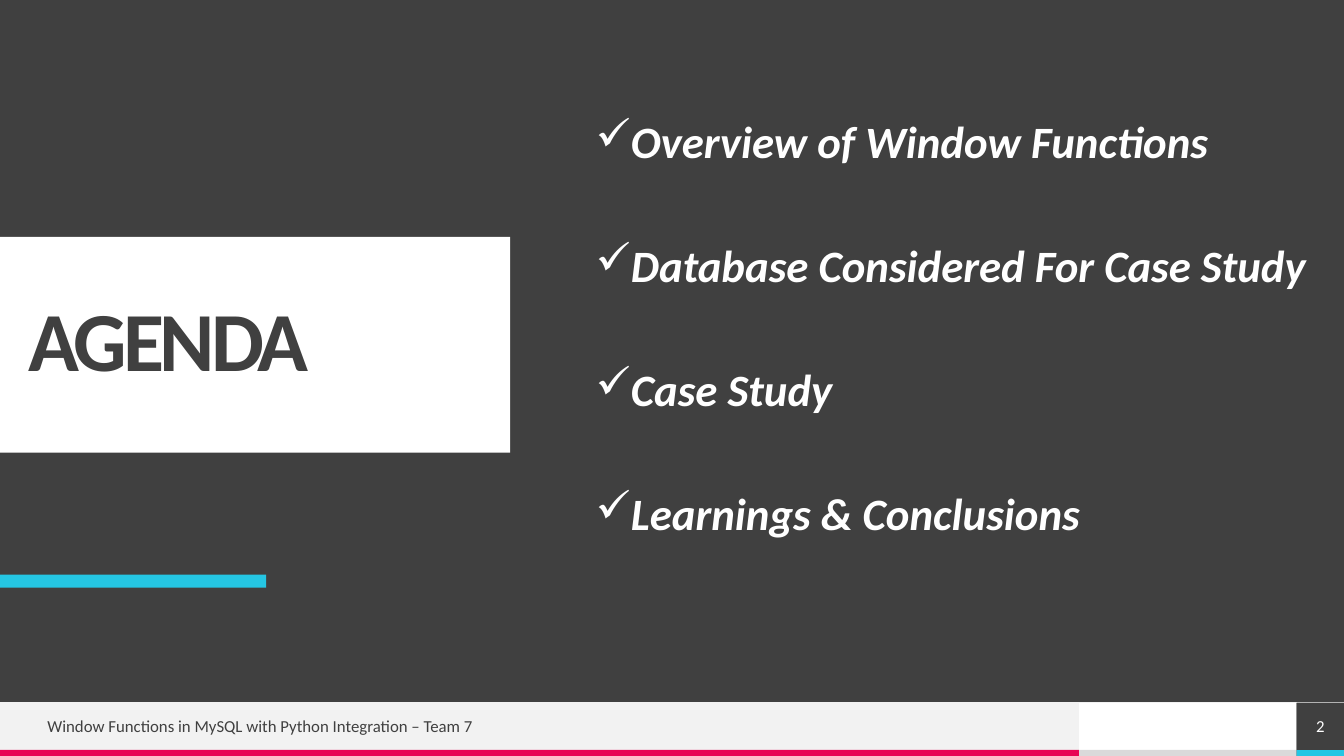
"""Build the agenda slide with its title block, checklist and footer."""
from dataclasses import dataclass
from typing import Any

from lxml import etree
from pptx import Presentation
from pptx import util as u
from pptx.dml import color
from pptx.enum import shapes, text
from pptx.oxml import ns


@dataclass(frozen=True)
class Theme:
    """Colours, font and type sizes."""
    dark: str = "404040"
    white: str = "FFFFFF"
    pale: str = "F2F2F2"
    grey: str = "DADADA"
    cyan: str = "25C6E3"
    pink: str = "E80554"
    font: str = "Calibri"
    title: int = 60
    item: int = 32
    foot: int = 12


@dataclass(frozen=True)
class Box:
    """A place on the slide in inches."""
    left: float
    top: float
    width: float
    height: float

    def args(self) -> list[u.Inches]:
        """Return the four lengths."""
        return [u.Inches(n) for n in (self.left, self.top, self.width, self.height)]


@dataclass(frozen=True)
class Bar:
    """A plain filled block."""
    box: Box
    fill: str


THEME = Theme()
WIDTH, FOOT, BASE = 13.33, 6.97, 7.44
SPLIT, LAST = 10.7, 12.86
ROW, STRIP = BASE - FOOT, 0.06
BARS = [
    Bar(Box(SPLIT, FOOT, LAST - SPLIT, ROW), THEME.white),
    Bar(Box(0, FOOT, SPLIT, ROW), THEME.pale),
    Bar(Box(0, 5.7, 2.64, 0.13), THEME.cyan),
    Bar(Box(SPLIT, BASE, LAST - SPLIT, STRIP), THEME.grey),
    Bar(Box(0, BASE, SPLIT, STRIP), THEME.pink),
    Bar(Box(LAST, BASE, WIDTH - LAST, STRIP), THEME.cyan),
]
ITEMS = [
    "Overview of Window Functions",
    "Database Considered For Case Study",
    "Case Study",
    "Learnings & Conclusions",
]


def tint(code: str) -> color.RGBColor:
    """Turn a hex code into a colour."""
    return color.RGBColor.from_string(code)


def block(slide: Any, bar: Bar) -> Any:
    """Draw one filled rectangle."""
    shape = slide.shapes.add_shape(shapes.MSO_SHAPE.RECTANGLE, *bar.box.args())
    shape.shadow.inherit = False
    shape.fill.solid()
    shape.fill.fore_color.rgb = tint(bar.fill)
    shape.line.fill.background()
    return shape


def rule(slide: Any) -> None:
    """Draw the thin line above the footer."""
    line = slide.shapes.add_connector(
        shapes.MSO_CONNECTOR.STRAIGHT,
        u.Inches(WIDTH), u.Inches(FOOT), u.Inches(0), u.Inches(FOOT))
    line.line.color.rgb = tint(THEME.pale)
    line.line.width = u.Pt(0.5)
    etree.SubElement(line._element.spPr, ns.qn("a:effectLst"))


def tick(para: Any) -> None:
    """Give a paragraph a hanging check mark."""
    props = para._p.get_or_add_pPr()
    indent = u.Inches(0.29)
    props.set("marL", str(indent))
    props.set("indent", str(-indent))
    etree.SubElement(props, ns.qn("a:buChar"), char="✓")


def write(shape: Any, lines: list[str], *, size: int, ink: str,
          bold: bool = False, slant: bool = False, check: bool = False,
          align: text.PP_ALIGN = text.PP_ALIGN.LEFT,
          anchor: text.MSO_ANCHOR = text.MSO_ANCHOR.MIDDLE,
          inset: tuple[float, ...] = (0, 0, 0, 0),
          lead: float = 1.0, gap: float = 0, track: int = 0) -> None:
    """Fill a shape with formatted paragraphs."""
    frame = shape.text_frame
    frame.word_wrap = True
    frame.auto_size = text.MSO_AUTO_SIZE.NONE
    frame.vertical_anchor = anchor
    (frame.margin_left, frame.margin_top,
     frame.margin_right, frame.margin_bottom) = map(u.Inches, inset)
    for num, line in enumerate(lines):
        para = frame.add_paragraph() if num else frame.paragraphs[0]
        if check:
            tick(para)
        para.alignment = align
        para.line_spacing = lead
        para.space_before = u.Pt(gap if num else 0)
        run = para.add_run()
        run.text = line
        font = run.font
        font.name, font.size = THEME.font, u.Pt(size)
        font.bold, font.italic = bold, slant
        font.color.rgb = tint(ink)
        if track:
            run._r.get_or_add_rPr().set("spc", str(track))


def main() -> None:
    """Compose and save the slide."""
    deck = Presentation()
    deck.slide_width, deck.slide_height = u.Inches(WIDTH), u.Inches(7.5)
    slide = deck.slides.add_slide(deck.slide_layouts[5])
    slide.background.fill.solid()
    slide.background.fill.fore_color.rgb = tint(THEME.dark)
    for bar in BARS:
        block(slide, bar)
    rule(slide)

    title = slide.shapes.title
    title.left, title.top, title.width, title.height = Box(0, 2.35, 5.06, 2.14).args()
    title.fill.solid()
    title.fill.fore_color.rgb = tint(THEME.white)
    write(title, ["AGENDA"], size=THEME.title, ink=THEME.dark, bold=True,
          inset=(0.28, 0.2, 0.2, 0.2), lead=0.9, track=-300)

    note = slide.shapes.add_textbox(*Box(0.47, 7.04, 6.19, 0.32).args())
    write(note, ["Window Functions in MySQL with Python Integration – Team 7"],
          size=THEME.foot, ink=THEME.dark)

    page = block(slide, Bar(Box(LAST, FOOT, WIDTH - LAST, ROW), THEME.dark))
    write(page, ["2"], size=THEME.foot, ink=THEME.white, align=text.PP_ALIGN.CENTER)

    agenda = slide.shapes.add_textbox(*Box(5.81, 1.14, 7.43, 5.64).args())
    write(agenda, ITEMS, size=THEME.item, ink=THEME.white, bold=True, slant=True,
          check=True, anchor=text.MSO_ANCHOR.TOP, inset=(0.1, 0.05, 0.1, 0.05),
          lead=0.9, gap=54)

    deck.save("out.pptx")


if __name__ == "__main__":
    main()
